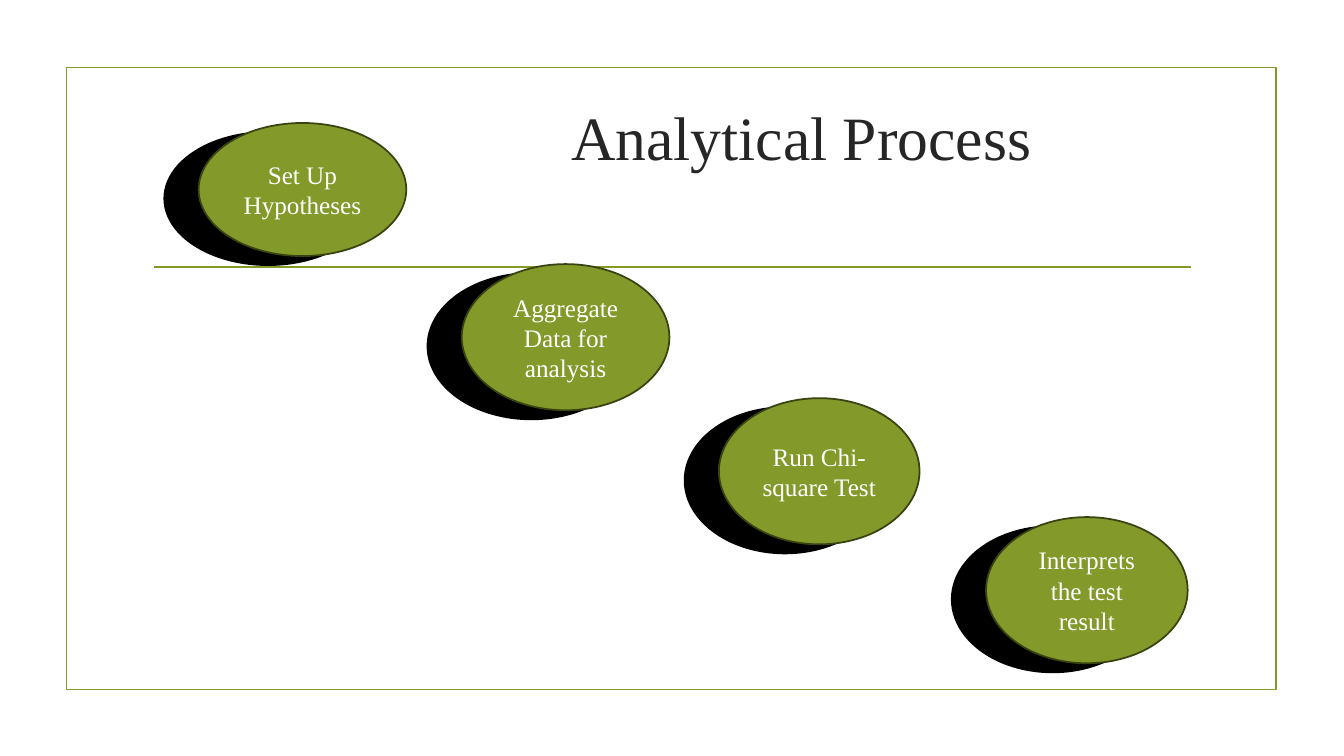
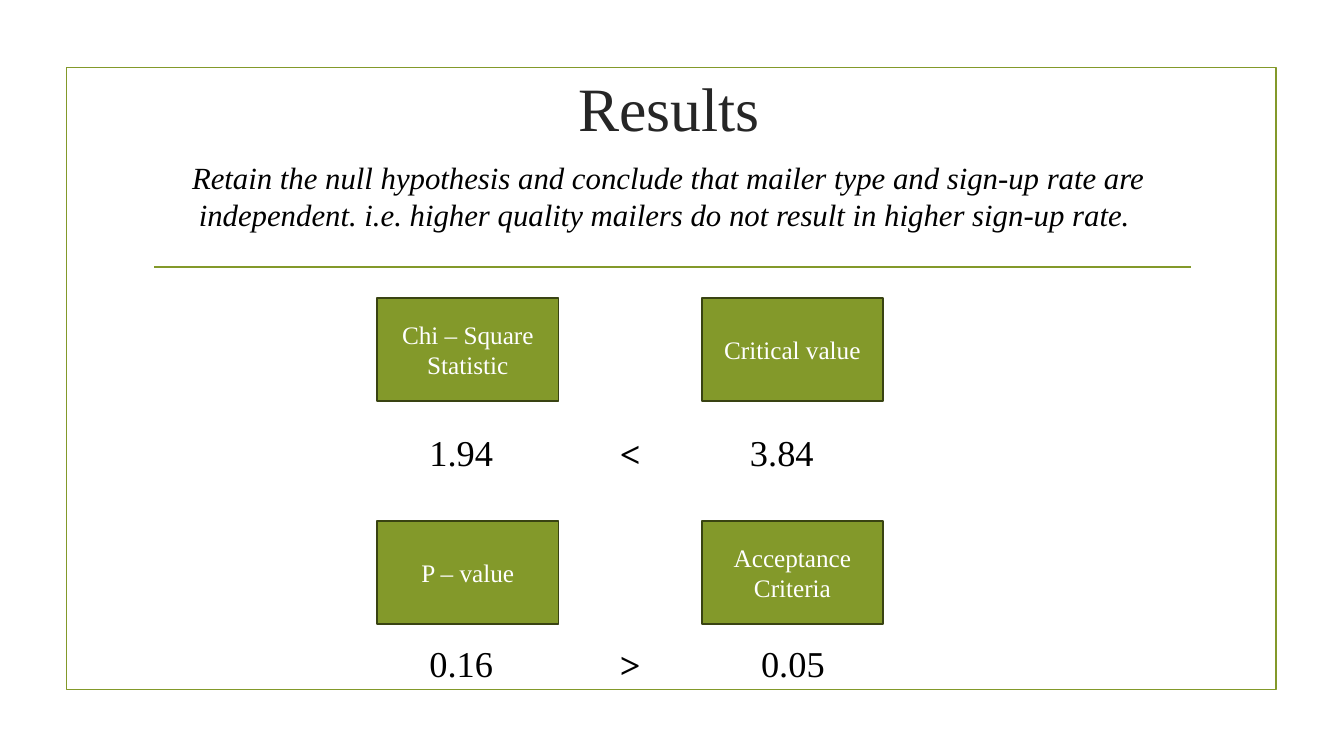
import pptx
import pptx.util
import pptx.dml.color
import pptx.enum.shapes
import pptx.enum.text
import pptx.oxml.ns
import lxml.etree

Inches = pptx.util.Inches
RGBColor = pptx.dml.color.RGBColor
Shape = pptx.enum.shapes.MSO_SHAPE
Anchor = pptx.enum.text.MSO_ANCHOR
Align = pptx.enum.text.PP_ALIGN

OLIVE = RGBColor(0x83, 0x99, 0x2A)
DARK_OLIVE = RGBColor(0x39, 0x43, 0x12)
CHARCOAL = RGBColor(0x26, 0x26, 0x26)
BLACK = RGBColor(0, 0, 0)
WHITE = RGBColor(0xFF, 0xFF, 0xFF)
FONT = "Times New Roman"
LINE_WIDTH = pptx.util.Pt(1.25)

STEPS = [
    ("Set Up Hypotheses", 1.97, 1.22, 2.06, 1.32),
    ("Aggregate Data for analysis", 4.58, 2.62, 2.06, 1.45),
    ("Run Chi-square Test", 7.13, 3.95, 1.99, 1.45),
    ("Interprets the test result", 9.78, 5.13, 2, 1.45),
]
COMPARISONS = [
    (2.96, 4.22, "Chi – Square Statistic", "1.94", "<", "Critical value", "3.84", 7.34),
    (5.17, 6.31, "P – value", "0.16", ">", "Acceptance Criteria", "0.05", 7.45),
]
CONCLUSION = (
    "Retain the null hypothesis and conclude that mailer type and sign-up rate "
    "are independent. i.e. higher quality mailers do not result in higher sign-up rate. "
)


def write_text(box, text, size=18, color=BLACK, align=Align.CENTER,
               anchor=Anchor.MIDDLE, wrap=True, bold=False, italic=False):
    frame = box.text_frame
    frame.word_wrap = wrap
    frame.vertical_anchor = anchor
    para = frame.paragraphs[0]
    para.alignment = align
    span = para.add_run()
    span.text = text
    font = span.font
    font.name, font.size, font.color.rgb = FONT, pptx.util.Pt(size), color
    font.bold, font.italic = bold, italic


class SlideBuilder:
    """Hold the deck style and the slide being drawn."""

    def __init__(self):
        self.deck = pptx.Presentation()
        self.deck.slide_width = Inches(13.33)
        self.deck.slide_height = Inches(7.5)
        self.page = None

    def start_page(self, title, left, top, width, height):
        self.page = self.deck.slides.add_slide(self.deck.slide_layouts[6])
        self.shape(Shape.RECTANGLE, 0.66, 0.67, 12, 6.17, line=OLIVE)
        self.rule(1.53, 11.81, 2.65)
        self.label(title, left, top, width, height, size=44, color=CHARCOAL)

    def shape(self, kind, left, top, width, height, fill=None, line=DARK_OLIVE, text=None):
        box = self.page.shapes.add_shape(
            kind, Inches(left), Inches(top), Inches(width), Inches(height))
        box.shadow.inherit = False
        if fill is None:
            box.fill.background()
        else:
            box.fill.solid()
            box.fill.fore_color.rgb = fill
        box.line.color.rgb = line
        box.line.width = LINE_WIDTH
        if text:
            write_text(box, text, color=WHITE)

    def rule(self, start, end, height):
        line = self.page.shapes.add_connector(
            pptx.enum.shapes.MSO_CONNECTOR.STRAIGHT,
            Inches(start), Inches(height), Inches(end), Inches(height))
        line.line.color.rgb = OLIVE
        line.line.width = LINE_WIDTH
        lxml.etree.SubElement(line._element.spPr, pptx.oxml.ns.qn("a:effectLst"))

    def label(self, text, left, top, width, height, **style):
        box = self.page.shapes.add_textbox(
            Inches(left), Inches(top), Inches(width), Inches(height))
        write_text(box, text, **style)

    def figure(self, text, left, top, width=1.27, **style):
        self.label(text, left, top, width, 0.54, size=26,
                   align=Align.LEFT, anchor=Anchor.TOP, **style)

    def step(self, text, left, top, width, height):
        self.shape(Shape.OVAL, left - 0.34, top + 0.09, width, height, BLACK, BLACK)
        self.shape(Shape.OVAL, left, top, width, height, OLIVE, text=text)

    def card(self, text, left, top):
        self.shape(Shape.RECTANGLE, left, top, 1.8, 1.02, OLIVE, text=text)


def main():
    builder = SlideBuilder()

    builder.start_page("Analytical Process", 2.2, 0.92, 11.5, 0.86)
    for step in STEPS:
        builder.step(*step)

    builder.start_page("Results", 2.41, 0.64, 8.45, 0.84)
    for card_top, value_top, name, value, sign, limit_name, limit, limit_left in COMPARISONS:
        builder.card(name, 3.74, card_top)
        builder.figure(value, 4.16, value_top)
        builder.card(limit_name, 6.96, card_top)
        builder.figure(limit, limit_left, value_top)
        builder.figure(sign, 6.05, value_top + 0.01, width=0.38, wrap=False, bold=True)
    builder.label(CONCLUSION, 1.53, 1.53, 10.19, 0.84,
                  size=22, anchor=Anchor.TOP, italic=True)

    builder.deck.save("out.pptx")


if __name__ == "__main__":
    main()
